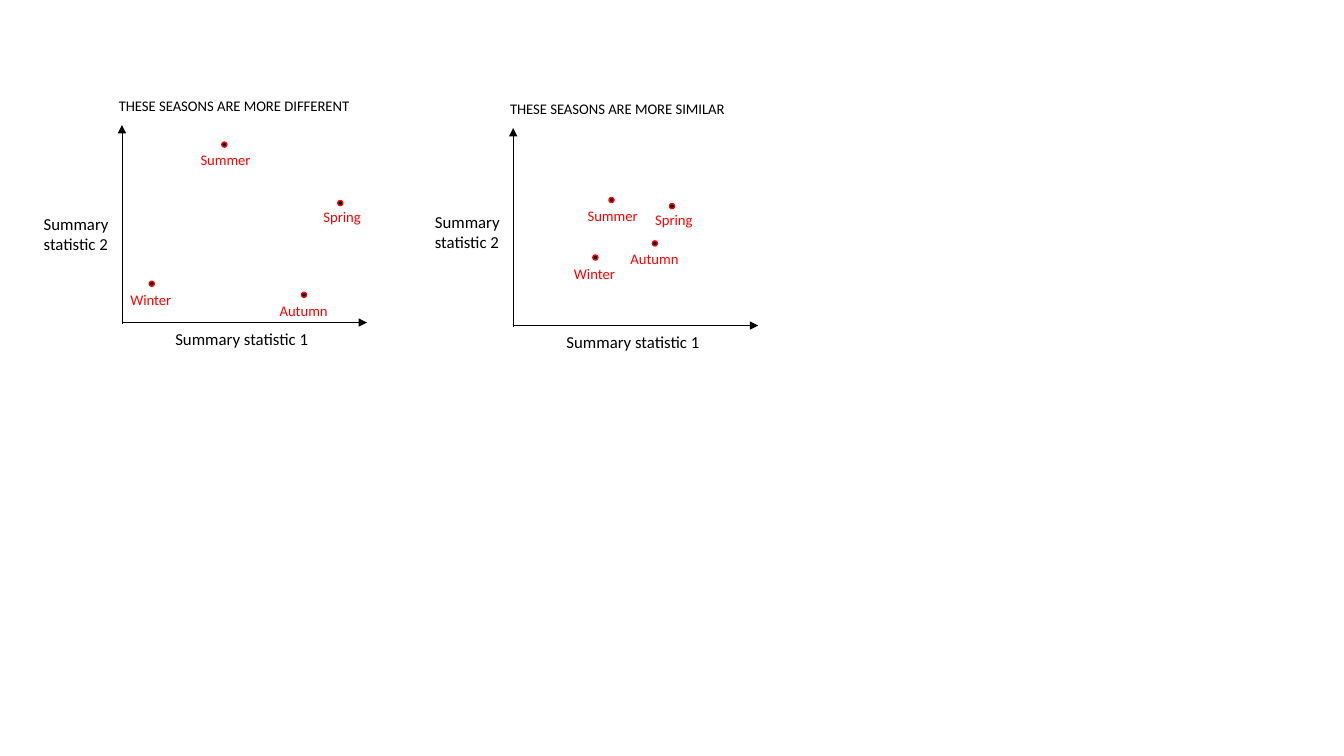
"""Draw two season scatter sketches that contrast different and similar seasons."""
from pptx import Presentation
from pptx.dml.color import RGBColor
from pptx.enum.shapes import MSO_CONNECTOR, MSO_SHAPE
from pptx.enum.text import MSO_AUTO_SIZE
from pptx.oxml.ns import qn
from pptx.util import Inches, Pt
from lxml import etree

STRAIGHT = MSO_CONNECTOR.STRAIGHT
OVAL = MSO_SHAPE.OVAL
GROW = MSO_AUTO_SIZE.SHAPE_TO_FIT_TEXT
CELL = Inches(0.01)
BLACK, RED, FONT = "000000", "FF0000", "Calibri"
AXIS_COLS, AXIS_ROWS, DOT = 243, 196, 5

# Columns and rows from a season's dot to its label, then the label's columns.
LABELS = {
    "Summer": (-31, 4, 82),
    "Winter": (-28.5, 4.5, 70),
    "Spring": (-24, 2.5, 70),
    "Autumn": (-31.5, 4, 70),
}
# Origin column and row, row of the vertical label, and dots measured from the origin.
PLOTS = [
    ("THESE SEASONS ARE MORE DIFFERENT", 121, 320, 207,
     {"Summer": (99, 179), "Winter": (27, 41), "Spring": (214, 121), "Autumn": (178, 30)}),
    ("THESE SEASONS ARE MORE SIMILAR", 509, 323, 205,
     {"Summer": (95, 127), "Winter": (79, 70), "Spring": (155, 121), "Autumn": (138, 84)}),
]


def rgb(color):
    """Turn a hex string into a colour."""
    return RGBColor.from_string(color)


def cells(*counts):
    """Turn counts of grid cells into lengths."""
    return [round(count * CELL) for count in counts]


def add_label(shapes, lines, col, row, cols, rows, size, color=BLACK):
    """Add left-aligned text with one paragraph per line."""
    frame = shapes.add_textbox(*cells(col, row, cols, rows)).text_frame
    frame.word_wrap = True
    frame.auto_size = GROW
    frame.text = lines
    for paragraph in frame.paragraphs:
        paragraph.font.size = Pt(size)
        paragraph.font.name = FONT
        paragraph.font.color.rgb = rgb(color)


def add_axis(shapes, col, row, end_col, end_row):
    """Add a thin axis with an arrowhead at its far end."""
    axis = shapes.add_connector(STRAIGHT, *cells(col, row, end_col, end_row))
    axis.line.width = Pt(0.5)
    axis.line.color.rgb = rgb(BLACK)
    etree.SubElement(axis.line._get_or_add_ln(), qn("a:tailEnd"), type="triangle")
    etree.SubElement(axis._element.spPr, qn("a:effectLst"))


def add_season(shapes, season, col, row):
    """Add a season's dot and its label."""
    dot = shapes.add_shape(OVAL, *cells(col, row, DOT, DOT))
    dot.shadow.inherit = False
    dot.fill.solid()
    dot.fill.fore_color.rgb = rgb(BLACK)
    dot.line.color.rgb = rgb(RED)
    dot.line.width = Pt(1)
    right, down, cols = LABELS[season]
    add_label(shapes, season, col + right, row + down, cols, 28, 10.5, RED)


def add_plot(slide, title, col, row, side_row, seasons):
    """Add one titled plot with its axes, axis labels and seasons."""
    add_label(slide.shapes, "Summary\nstatistic 2", col - 87.5, side_row, 87, 50, 12)
    plot = slide.shapes.add_group_shape().shapes
    add_axis(plot, col, row + 1, col, row - AXIS_ROWS)
    add_axis(plot, col, row, col + AXIS_COLS, row)
    add_label(plot, "Summary statistic 1", col + 43, row + 1, 155, 30, 12)
    add_label(plot, title, col - 13, row - 229, 302, 28, 10.5)
    for season, (right, up) in seasons.items():
        add_season(plot, season, col + right, row - up)


def main():
    """Build and save the slide."""
    deck = Presentation()
    deck.slide_width, deck.slide_height = Inches(13.33), Inches(7.5)
    slide = deck.slides.add_slide(deck.slide_layouts[6])
    for plot in PLOTS:
        add_plot(slide, *plot)
    deck.save("out.pptx")


if __name__ == "__main__":
    main()
